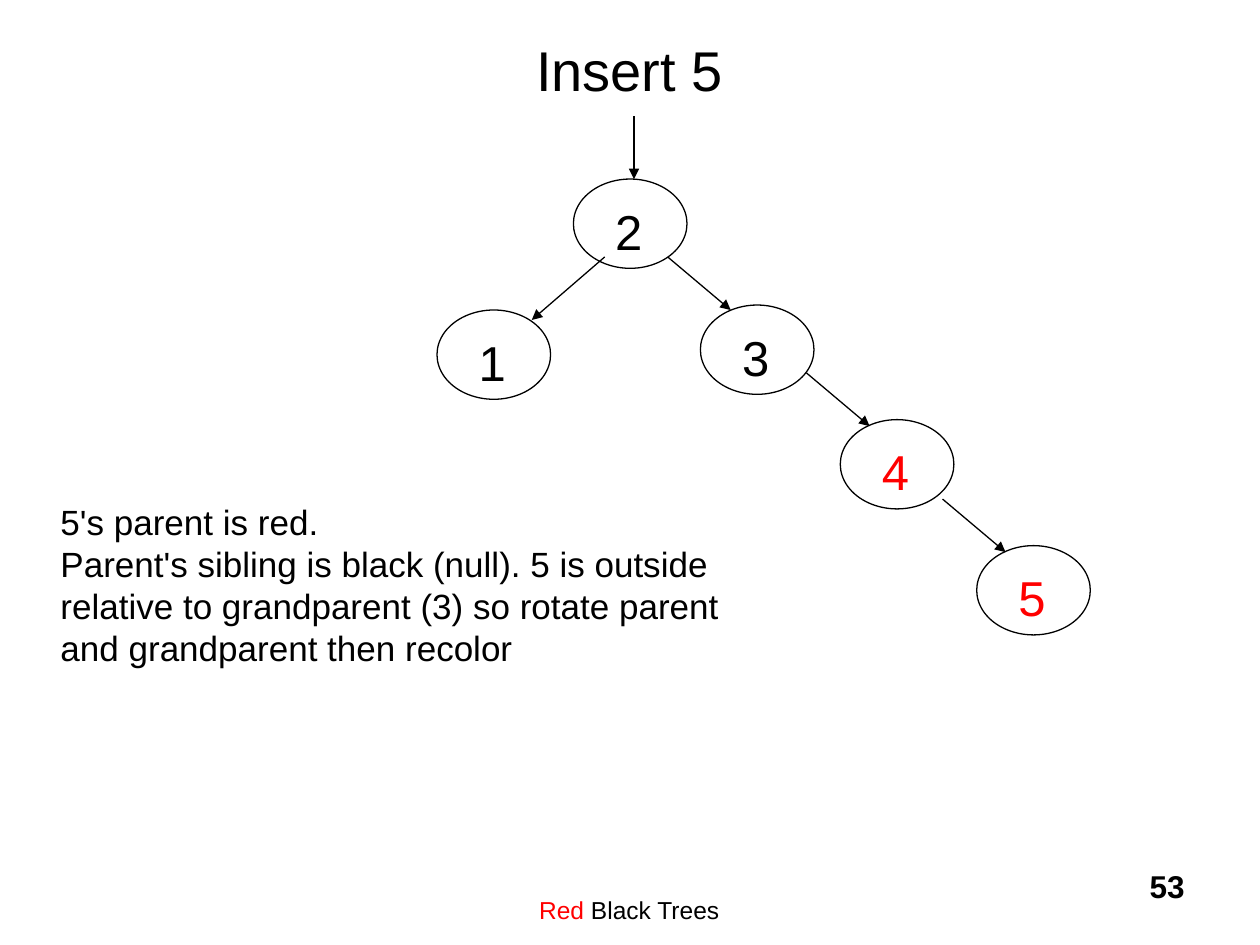
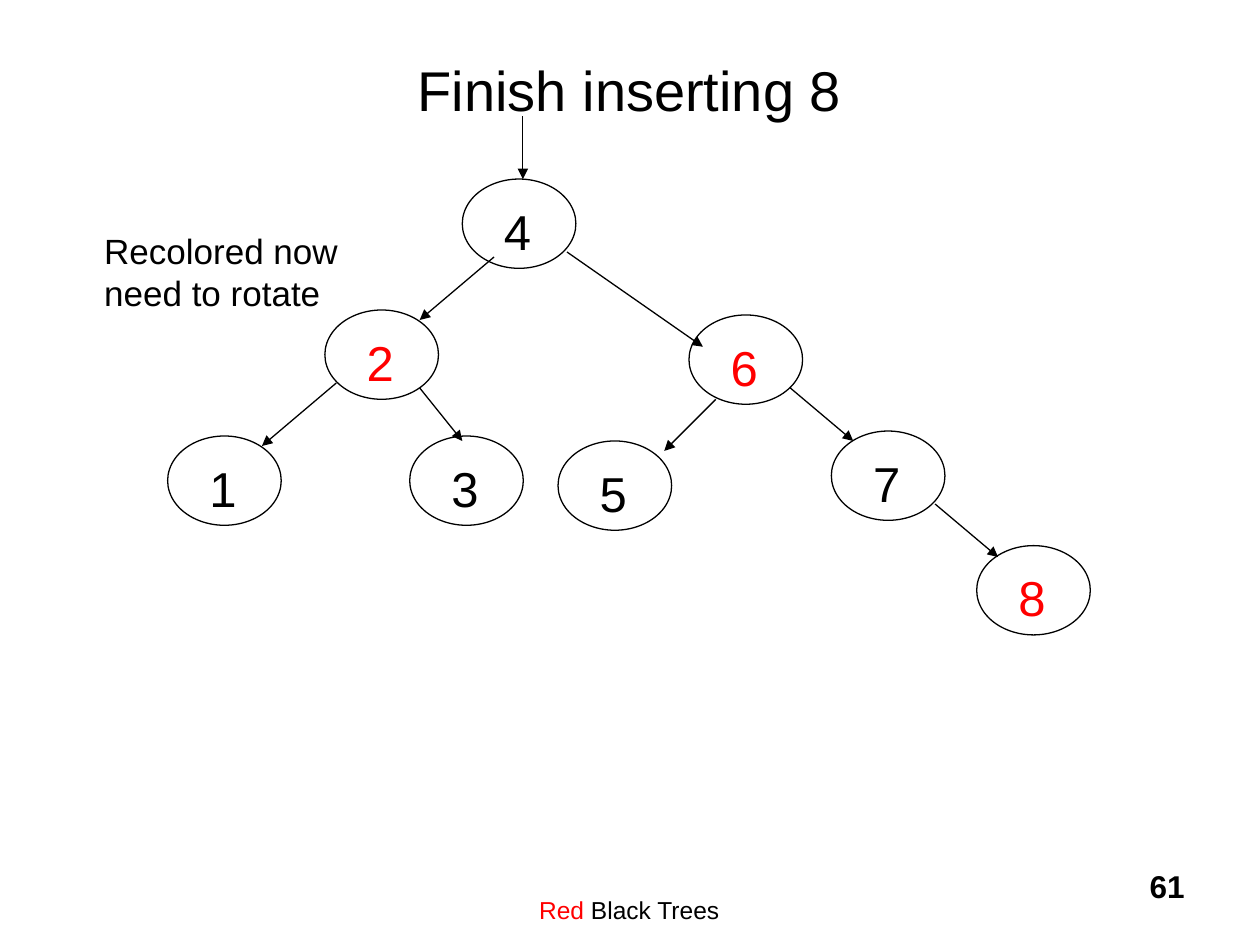
from dataclasses import dataclass
from typing import NamedTuple

from lxml import etree
from pptx import Presentation
from pptx.dml.color import RGBColor
from pptx.enum.shapes import MSO_CONNECTOR, MSO_SHAPE
from pptx.enum.text import MSO_ANCHOR, PP_ALIGN
from pptx.oxml.ns import qn
from pptx.util import Cm, Pt

OVAL = MSO_SHAPE.OVAL
LINE = MSO_CONNECTOR.STRAIGHT
TOP, MIDDLE = MSO_ANCHOR.TOP, MSO_ANCHOR.MIDDLE
LEFT, CENTER, RIGHT = PP_ALIGN.LEFT, PP_ALIGN.CENTER, PP_ALIGN.RIGHT


@dataclass(frozen=True)
class Theme:
    font: str = "Arial"
    black: RGBColor = RGBColor(0, 0, 0)
    red: RGBColor = RGBColor(255, 0, 0)
    title: int = 32
    key: int = 28
    note: int = 20
    page: int = 18
    footer: int = 14
    stroke: float = 0.75


THEME = Theme()


class Box(NamedTuple):
    """Left, top, width and height in centimetres."""
    x: float
    y: float
    w: float
    h: float


class Node(NamedTuple):
    key: str
    x: float
    y: float
    red: bool = False


class Edge(NamedTuple):
    x1: float
    y1: float
    x2: float
    y2: float


class Step(NamedTuple):
    """One slide; the first node is the root of the tree."""
    title: str
    title_y: float
    page: str
    note: str
    note_box: Box
    nodes: list[Node]
    edges: list[Edge]


NODE_W, NODE_H = 2.29, 1.8
ROOT_DX, ROOT_LEN = 1.22, 1.27
FOOTER = Box(7.82, 17.35, 9.73, 1.27)
PAGE = Box(18.85, 17.35, 5.28, 1.27)

STEPS = [
    Step(
        "Insert 5", -0.2, "53",
        "5's parent is red.\nParent's sibling is black (null). 5 is outside "
        "relative to grandparent (3) so rotate parent and grandparent then recolor",
        Box(0.97, 9.88, 14.3, 3.68),
        [
            Node("2", 11.56, 3.61),
            Node("1", 8.81, 6.25),
            Node("3", 14.12, 6.15),
            Node("4", 16.94, 8.46, red=True),
            Node("5", 19.69, 11, red=True),
        ],
        [
            Edge(12.19, 5.18, 10.72, 6.45),
            Edge(13.46, 5.18, 14.73, 6.25),
            Edge(16.26, 7.52, 17.53, 8.59),
            Edge(19, 10.06, 20.27, 11.13),
        ],
    ),
    Step(
        "Finish inserting 8", 0.2, "61",
        "Recolored now\nneed to rotate",
        Box(1.85, 4.42, 5.5, 1.96),
        [
            Node("4", 9.32, 3.61),
            Node("2", 6.55, 6.25, red=True),
            Node("6", 13.89, 6.35, red=True),
            Node("1", 3.38, 8.79),
            Node("3", 8.26, 8.79),
            Node("5", 11.25, 8.89),
            Node("7", 16.76, 8.69),
            Node("8", 19.69, 11, red=True),
        ],
        [
            Edge(9.96, 5.18, 8.46, 6.45),
            Edge(11.43, 5.08, 14.17, 6.99),
            Edge(6.78, 7.72, 5.28, 8.99),
            Edge(8.46, 7.82, 9.32, 8.89),
            Edge(14.43, 8.05, 13.39, 9.09),
            Edge(15.93, 7.82, 17.2, 8.89),
            Edge(18.85, 10.16, 20.12, 11.23),
        ],
    ),
]


def style(font, size: int, color: RGBColor, bold: bool = False) -> None:
    font.name = THEME.font
    font.size = Pt(size)
    font.bold = bold
    font.color.rgb = color


def add_text(shapes, box: Box, text: str, size: int, color: RGBColor = THEME.black,
             align=LEFT, anchor=TOP, inset: float = 0.13, bold: bool = False):
    """Add a text box, with inset as its top margin, and return its paragraph."""
    frame = shapes.add_textbox(*map(Cm, box)).text_frame
    frame.word_wrap = True
    frame.vertical_anchor = anchor
    frame.margin_top = Cm(inset)
    para = frame.paragraphs[0]
    para.text = text
    para.alignment = align
    for run in para.runs:
        style(run.font, size, color, bold)
    return para


def add_node(slide, node: Node) -> None:
    group = slide.shapes.add_group_shape()
    oval = group.shapes.add_shape(OVAL, *map(Cm, (node.x, node.y, NODE_W, NODE_H)))
    oval.shadow.inherit = False
    oval.fill.background()
    oval.line.color.rgb = THEME.black
    oval.line.width = Pt(THEME.stroke)
    add_text(group.shapes, Box(node.x + 0.59, node.y + 0.2, 1.07, 1.45), node.key,
             THEME.key, THEME.red if node.red else THEME.black, inset=0.25)


def add_arrow(slide, edge: Edge) -> None:
    arrow = slide.shapes.add_connector(LINE, *map(Cm, edge))
    arrow.line.color.rgb = THEME.black
    arrow.line.width = Pt(THEME.stroke)
    etree.SubElement(arrow.line._get_or_add_ln(), qn("a:tailEnd"), type="triangle")
    etree.SubElement(arrow._element.spPr, qn("a:effectLst"))


def add_footer(slide, page: str) -> None:
    para = add_text(slide.shapes, FOOTER, "Red", THEME.footer, THEME.red,
                    CENTER, inset=0.69)
    rest = para.add_run()
    rest.text = " Black Trees"
    style(rest.font, THEME.footer, THEME.black)
    add_text(slide.shapes, PAGE, page, THEME.page, align=RIGHT, bold=True)


def add_step(deck, step: Step) -> None:
    slide = deck.slides.add_slide(deck.slide_layouts[6])
    add_footer(slide, step.page)
    add_text(slide.shapes, Box(1.9, step.title_y * 1, 21.59, 3.18), step.title,
             THEME.title, align=CENTER, anchor=MIDDLE)
    for node in step.nodes:
        add_node(slide, node)
    root = step.nodes[0]
    x = root.x + ROOT_DX
    for edge in [Edge(x, root.y - ROOT_LEN, x, root.y), *step.edges]:
        add_arrow(slide, edge)
    add_text(slide.shapes, step.note_box, step.note, THEME.note, inset=0.2)


def main() -> None:
    deck = Presentation()
    deck.slide_width, deck.slide_height = Cm(25.4), Cm(19.05)
    for step in STEPS:
        add_step(deck, step)
    deck.save("out.pptx")


if __name__ == "__main__":
    main()
